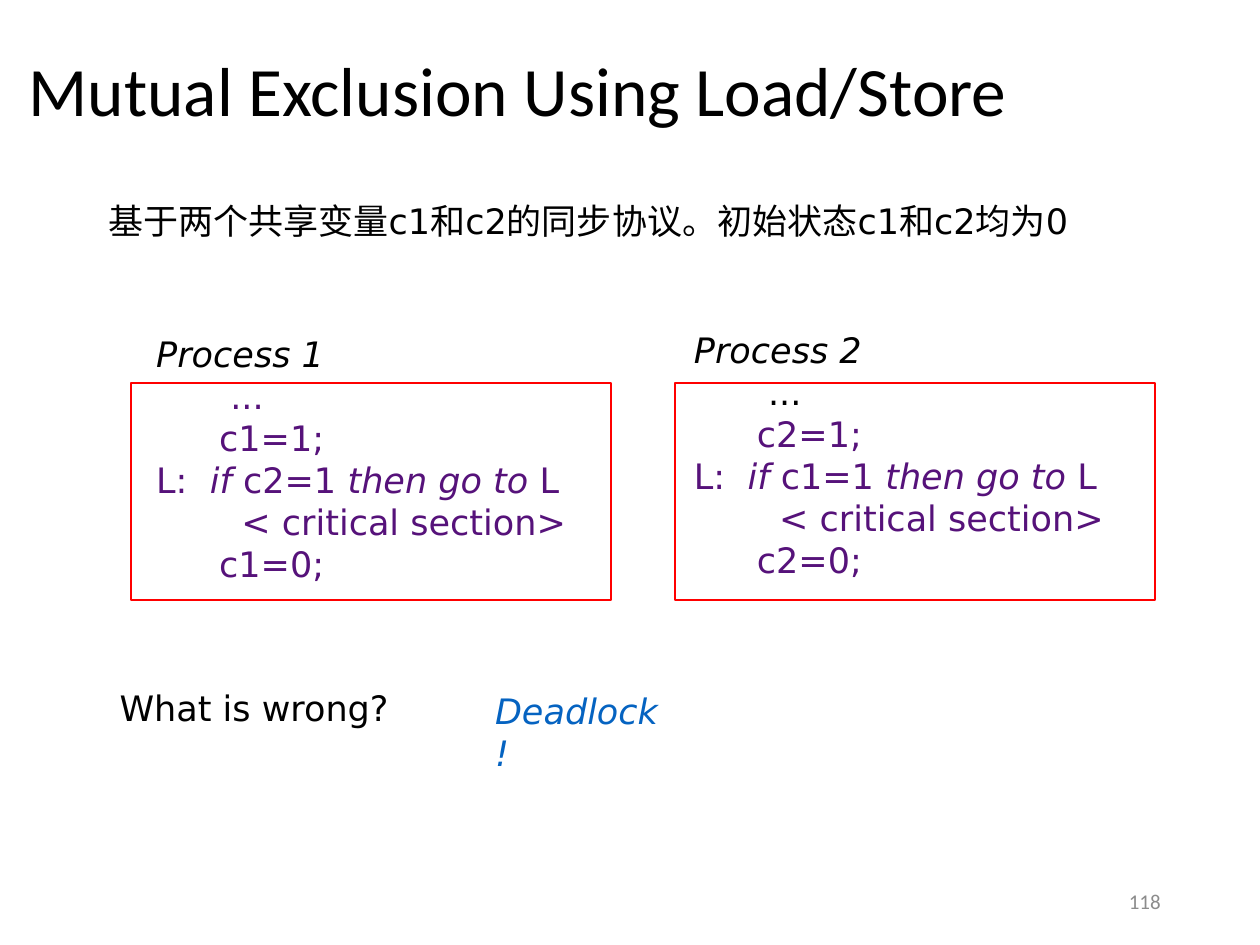
import pptx
import pptx.util
import pptx.dml.color
import pptx.enum.shapes
import pptx.enum.text

Cm, Pt = pptx.util.Cm, pptx.util.Pt
ALIGN = pptx.enum.text.PP_ALIGN
ANCHOR = pptx.enum.text.MSO_ANCHOR

COLORS = {"ink": "000000", "code": "56127A", "frame": "FF0000",
          "answer": "0563C1", "number": "8C8C8C"}

# Content: left, top, width, height in cm, text, format
BODY = {"name": "DejaVu Sans", "size": Pt(20), "italic": False}
TITLE = {"name": "Calibri", "size": Pt(39.6)}
NUMBER = {"name": "Calibri", "size": Pt(12)}
MIDDLE = {"vertical_anchor": ANCHOR.MIDDLE}
LABELS = [
    ((0.33, 1.09, 22.96, 1.63), "Mutual Exclusion Using Load/Store",
     "ink", TITLE, MIDDLE, {"line_spacing": 0.9}),
    ((17.93, 17.65, 5.72, 1.02), "118",
     "number", NUMBER, MIDDLE, {"alignment": ALIGN.RIGHT}),
    ((1.93, 3.89, 20.17, 1.09), "基于两个共享变量c1和c2的同步协议。初始状态c1和c2均为0",
     "ink", BODY, {}, {}),
    ((2.16, 13.72, 5.99, 1.09), "What is wrong?", "ink", BODY, {}, {}),
    ((9.73, 13.77, 4.01, 1.09), "Deadlock!",
     "answer", {**BODY, "italic": True}, {}, {}),
]

# Each process: number, the other one, listing corner, frame left, dots colour
PROCESSES = [(1, 2, (2.9, 6.58), 2.64, "code"),
             (2, 1, (13.74, 6.5), 13.61, "ink")]
LISTING_SIZE = (9.2, 5.33)
FRAME_TOP, FRAME_SIZE = 7.72, (9.68, 4.37)
CODE_INDENT = Cm(1.27)


def process_lines(own, other, dots_color):
    """Lines as (indented, colour, [(text, italic), ...])."""
    return [
        (False, "ink", [(f"Process {own}", True)]),
        (True, dots_color, [(" ...", False)]),
        (True, "code", [(f"c{own}=1;", False)]),
        (False, "code", [("L:  ", False), ("if", True), (f" c{other}=1 ", False),
                         ("then go to ", True), ("L", False)]),
        (True, "code", [("  < critical section>", False)]),
        (True, "code", [(f"c{own}=0;", False)]),
    ]


def apply(target, values):
    for key, value in values.items():
        setattr(target, key, value)


def rgb(color):
    return pptx.dml.color.RGBColor.from_string(COLORS[color])


def add_box(slide, place, frame_format):
    frame = slide.shapes.add_textbox(*map(Cm, place)).text_frame
    apply(frame, {"word_wrap": True, **frame_format})
    return frame


def add_run(paragraph, text, color, font_format):
    run = paragraph.add_run()
    run.text = text
    apply(run.font, font_format)
    run.font.color.rgb = rgb(color)


def main():
    deck = pptx.Presentation()
    apply(deck, {"slide_width": Cm(25.4), "slide_height": Cm(19.05)})
    slide = deck.slides.add_slide(deck.slide_layouts[6])

    # Title, page number, statement, question and answer
    for place, text, color, font_format, frame_format, line_format in LABELS:
        paragraph = add_box(slide, place, frame_format).paragraphs[0]
        apply(paragraph, line_format)
        add_run(paragraph, text, color, font_format)

    # Process listings with their frames
    for own, other, corner, frame_left, dots_color in PROCESSES:
        listing = add_box(slide, corner + LISTING_SIZE, {})
        for index, (indented, color, pieces) in enumerate(
                process_lines(own, other, dots_color)):
            line = listing.add_paragraph() if index else listing.paragraphs[0]
            if indented:
                line.level = 1
                line._p.get_or_add_pPr().set("marL", str(CODE_INDENT))
            for text, italic in pieces:
                add_run(line, text, color, {**BODY, "italic": italic})

        border = slide.shapes.add_shape(
            pptx.enum.shapes.MSO_SHAPE.RECTANGLE,
            *map(Cm, (frame_left, FRAME_TOP) + FRAME_SIZE))
        border.shadow.inherit = False
        border.fill.background()
        border.line.color.rgb = rgb("frame")
        border.line.width = Pt(1)

    deck.save("out.pptx")


if __name__ == "__main__":
    main()
